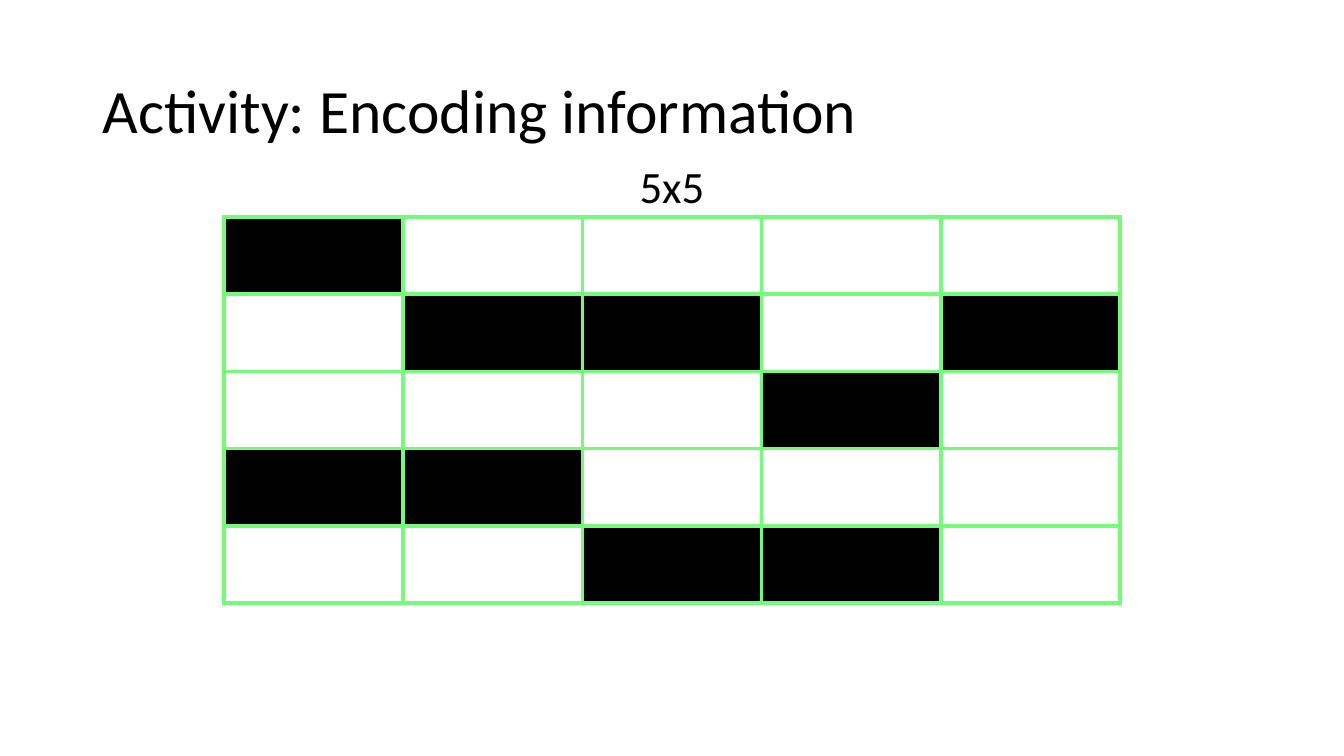
from dataclasses import dataclass
from lxml.etree import SubElement as Sub
from pptx import Presentation
from pptx.dml.color import RGBColor as RGB
from pptx.enum.text import MSO_ANCHOR as Anchor, PP_ALIGN as Align
from pptx.oxml.ns import qn
from pptx.util import Inches, Pt


@dataclass(frozen=True)
class Theme:
    font: str = "Calibri"
    ink: str = "000000"
    paper: str = "FFFFFF"
    rule: str = "73FB79"
    line: float = 3
    head: int = 44
    label: int = 32


THEME = Theme()
WIDE, HIGH = Inches(13.33), Inches(7.5)
GRID = (
    "#....",
    ".##.#",
    "...#.",
    "##...",
    "..##.",
)


def share(x, y, w, h):
    return int(WIDE * x), int(HIGH * y), int(WIDE * w), int(HIGH * h)


def write(slide, box, text, size, align, anchor, space=1.0, wrap=True):
    frame = slide.shapes.add_textbox(*box).text_frame
    frame.word_wrap = wrap
    frame.vertical_anchor = anchor
    para = frame.paragraphs[0]
    para.alignment = align
    para.line_spacing = space
    run = para.add_run()
    run.text = text
    run.font.name = THEME.font
    run.font.size = Pt(size)
    run.font.color.rgb = RGB.from_string(THEME.ink)


def border(cell):
    props = cell._tc.get_or_add_tcPr()
    for side in ("lnL", "lnR", "lnT", "lnB"):
        line = Sub(props, qn(f"a:{side}"), w=str(Pt(THEME.line)))
        fill = Sub(line, qn("a:solidFill"))
        Sub(fill, qn("a:srgbClr"), val=THEME.rule)


def draw(slide, box, grid):
    rows, cols = len(grid), len(grid[0])
    table = slide.shapes.add_table(rows, cols, *box).table
    table.first_row = table.horz_banding = False
    for cell, mark in zip(table.iter_cells(), "".join(grid)):
        border(cell)
        cell.fill.solid()
        tone = THEME.ink if mark == "#" else THEME.paper
        cell.fill.fore_color.rgb = RGB.from_string(tone)


def build():
    deck = Presentation()
    deck.slide_width, deck.slide_height = WIDE, HIGH
    slide = deck.slides.add_slide(deck.slide_layouts[6])
    write(slide, share(0.069, 0.053, 0.863, 0.193), "Activity: Encoding information",
          THEME.head, Align.LEFT, Anchor.MIDDLE, space=0.9)
    draw(slide, share(1 / 6, 0.287, 2 / 3, 0.511), GRID)
    write(slide, share(0.468, 0.204, 0.064, 0.085), f"{len(GRID)}x{len(GRID[0])}",
          THEME.label, Align.CENTER, Anchor.TOP, wrap=False)
    deck.save("out.pptx")


if __name__ == "__main__":
    build()
